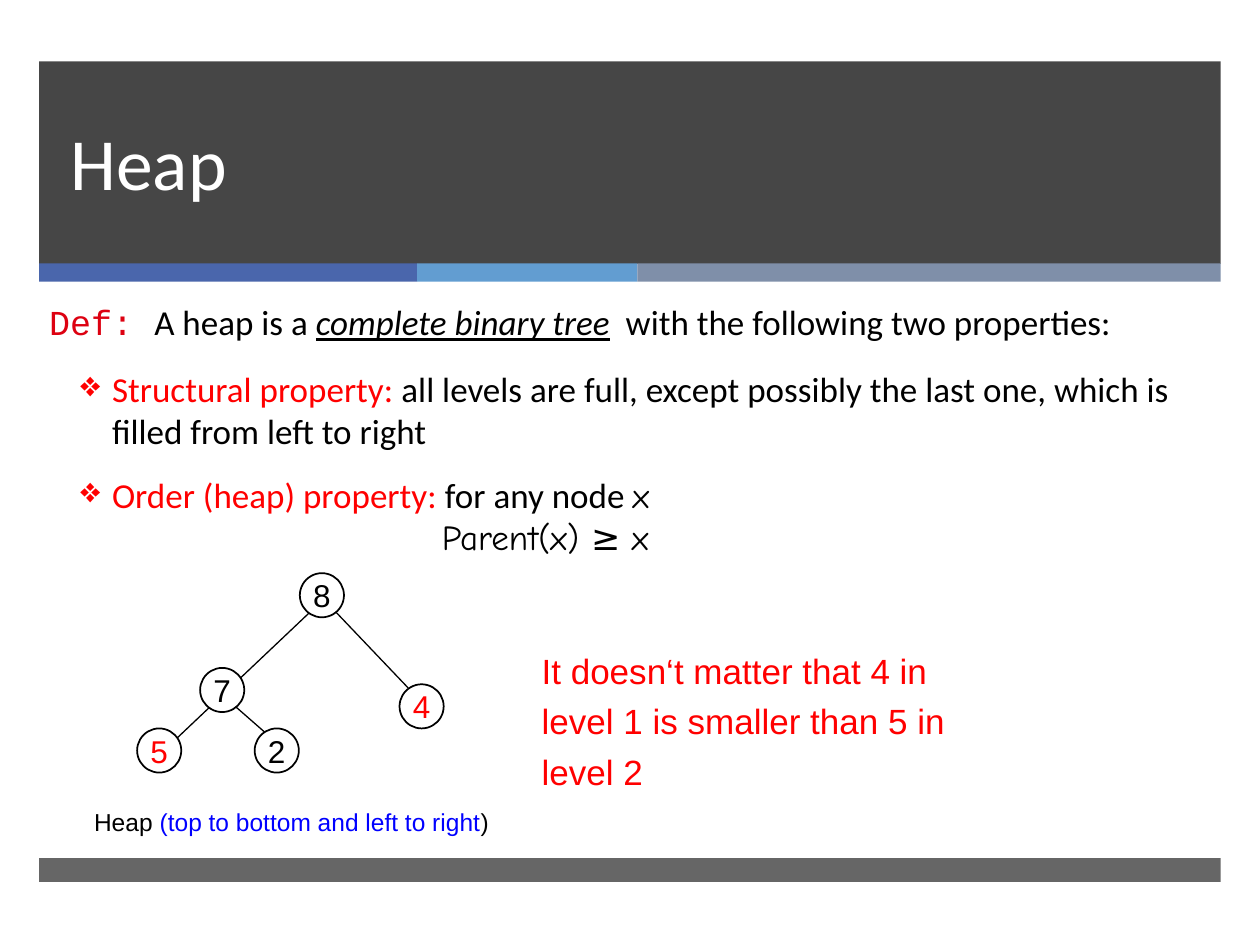
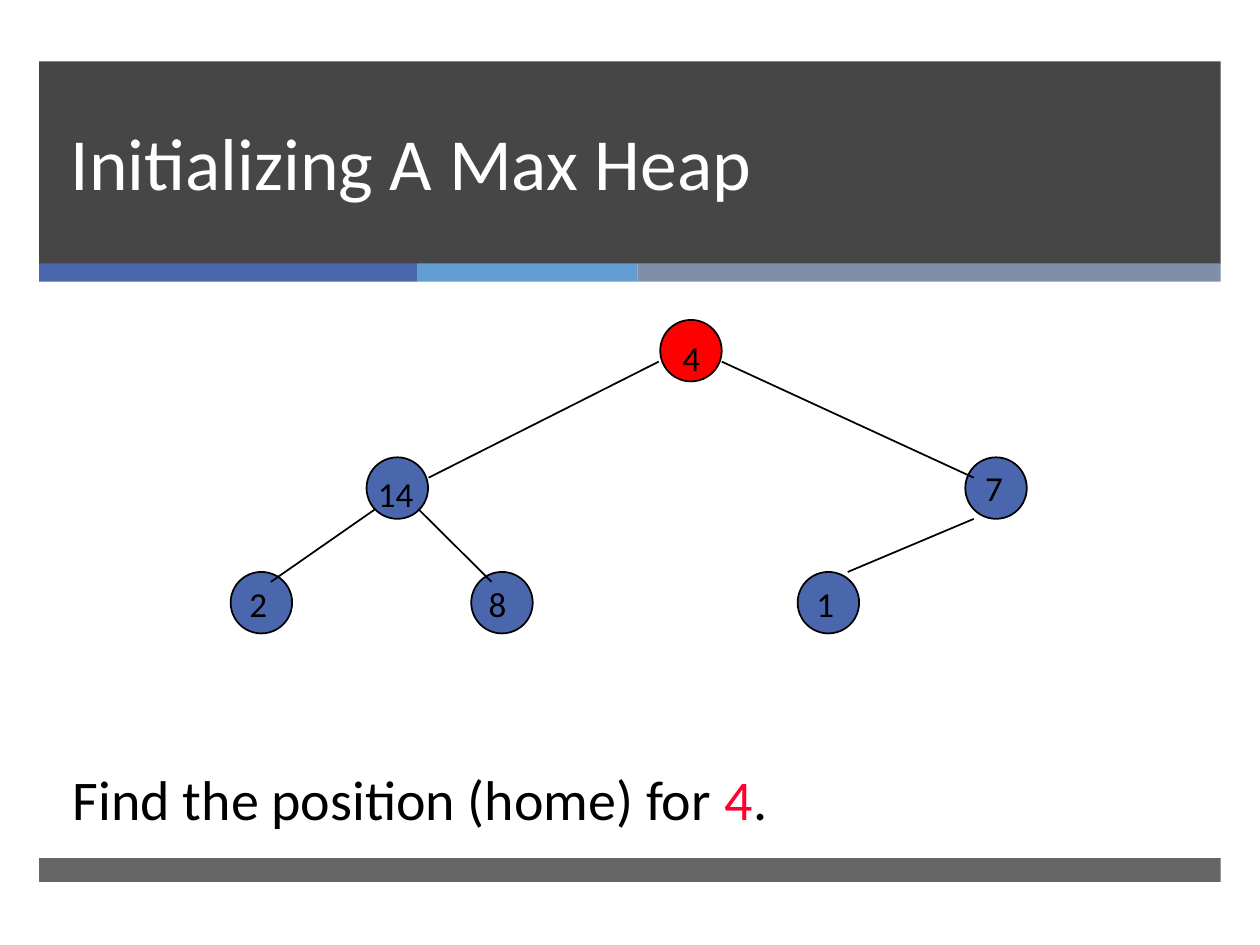
import pptx
import pptx.util
import pptx.dml.color
import pptx.enum.shapes
import pptx.enum.text
import pptx.oxml.ns
import lxml.etree

Cm, Pt = pptx.util.Cm, pptx.util.Pt
RGB = pptx.dml.color.RGBColor
Shape = pptx.enum.shapes.MSO_SHAPE
Align = pptx.enum.text.PP_ALIGN
Anchor = pptx.enum.text.MSO_ANCHOR
qn = pptx.oxml.ns.qn

# Colours
BLACK = RGB(0x00, 0x00, 0x00)
WHITE = RGB(0xFF, 0xFF, 0xFF)
DARK = RGB(0x26, 0x26, 0x26)
BLUE = RGB(0x4A, 0x66, 0xAC)
SKY = RGB(0x62, 0x9D, 0xD1)
SLATE = RGB(0x7F, 0x8F, 0xA9)
RED = RGB(0xFF, 0x00, 0x00)
CRIMSON = RGB(0xDD, 0x01, 0x11)
ROSE = RGB(0xFF, 0x00, 0x33)
LINK = RGB(0x00, 0x00, 0xFF)

# Shared frame: left, top, width, height in cm, colour, opacity in percent
EDGE, WIDE = 0.79, 23.82
BANDS = [(EDGE, 1.24, WIDE, 4.08, DARK, 85), (EDGE, 17.3, WIDE, 0.48, DARK, 70)]
STRIPS = [(7.62, BLUE), (4.44, SKY), (11.76, SLATE)]
TITLE = (1.17, 1.24, 21.69, 3.02)

# Slide 1: a paragraph is a dict of format and a list of (text, format) runs
POINT = dict(left=1.27, hang=0.64, bullet="\u2756")
COMIC = dict(font="Comic Neue")
BODY = [
    ({}, [("Def: ", dict(font="Courier New", color=CRIMSON)), ("A heap is a ", {}),
          ("complete binary tree", dict(italic=True, under=True)),
          ("  with the following two properties:", {})]),
    (dict(POINT, before=14), [
        ("Structural property: ", dict(color=RED)),
        ("all levels are full, except possibly the last one, "
         "which is filled from left to right", {})]),
    (dict(POINT, before=12.5), [
        ("Order (heap) property: ", dict(color=RED)),
        ("for any node ", {}), ("x", COMIC)]),
    (dict(left=7.92), [("Parent(x) \u2265 x", COMIC)]),
]
NOTE = "It doesn\u2018t matter that 4 in level 1 is smaller than 5 in level 2"
CAPTION = [({}, [("Heap ", {}), ("(top to bottom and left to right", dict(color=LINK)),
                 (")", {})])]

# Node: label, centre x, centre y, text colour
HEAP = [("5", 3.21, 15.13, RED), ("7", 4.48, 13.91, BLACK), ("8", 6.49, 12, BLACK),
        ("4", 8.5, 14.24, RED), ("2", 5.58, 15.13, BLACK)]
LINKS = [(4.72, 14.22, 5.36, 14.78), (3.05, 15.37, 6.65, 11.96),
         (8.23, 13.87, 6.22, 11.76)]

# Slide 2: label, centre x, centre y, fill, label left, top and width
START = [("4", 13.93, 7.07, RED, 13.51, 6.65, 2.34),
         ("14", 8.01, 9.84, BLUE, 7.37, 9.4, 2.11),
         ("7", 20.08, 9.84, BLUE, 19.61, 9.27, 0.86),
         ("2", 5.27, 12.15, BLUE, 4.78, 11.61, 0.86),
         ("8", 10.12, 12.15, BLUE, 9.6, 11.61, 0.86),
         ("1", 16.7, 12.15, BLUE, 16.21, 11.61, 0.86)]
PATHS = [(13.28, 7.29, 8.64, 9.63), (14.55, 7.29, 19.63, 9.63),
         (7.57, 10.26, 5.46, 11.73), (8.43, 10.26, 9.91, 11.73),
         (19.63, 10.46, 17.09, 11.53)]
TASK = [({}, [("Find the position (home) for ", {}), ("4", dict(color=ROSE)), (".", {})])]


def write(shape, paras, size=20, font="Calibri", color=BLACK, align=Align.LEFT,
          anchor=Anchor.TOP, space=None, wrap=True, inset=None):
    """Fill a shape with one string or a list of formatted paragraphs."""
    if isinstance(paras, str):
        paras = [({}, [(paras, {})])]
    frame = shape.text_frame
    frame.auto_size = pptx.enum.text.MSO_AUTO_SIZE.NONE
    frame.word_wrap, frame.vertical_anchor = wrap, anchor
    if inset is not None:
        frame.margin_left = frame.margin_right = Cm(inset)
        frame.margin_top = frame.margin_bottom = Cm(inset)
    for num, (look, runs) in enumerate(paras):
        para = frame.add_paragraph() if num else frame.paragraphs[0]
        para.alignment = align
        para.space_before = Pt(look.get("before", 0))
        if space:
            para.line_spacing = space
        props = para._p.get_or_add_pPr()
        props.set("marL", str(Cm(look.get("left", 0))))
        props.set("indent", str(-Cm(look.get("hang", 0))))
        if "bullet" in look:
            lxml.etree.SubElement(props, qn("a:buChar")).set("char", look["bullet"])
        for words, style in runs:
            run = para.add_run()
            run.text = words
            run.font.size = Pt(size)
            run.font.name = style.get("font", font)
            run.font.color.rgb = style.get("color", color)
            run.font.italic = style.get("italic")
            run.font.underline = style.get("under")


def place(box):
    return [Cm(n) for n in box]


def label(slide, box, paras, **look):
    write(slide.shapes.add_textbox(*place(box)), paras, **look)


def draw(slide, kind, box, fill, edge=None, alpha=100):
    shape = slide.shapes.add_shape(kind, *place(box))
    shape.shadow.inherit = False
    shape.fill.solid()
    shape.fill.fore_color.rgb = fill
    if alpha < 100:
        tint = shape._element.spPr.find(".//" + qn("a:srgbClr"))
        lxml.etree.SubElement(tint, qn("a:alpha")).set("val", str(alpha * 1000))
    if edge is None:
        shape.line.fill.background()
    else:
        shape.line.color.rgb = edge
        shape.line.width = Pt(1)
    return shape


def node(slide, x, y, size, fill):
    box = (x - size / 2, y - size / 2, size, size)
    return draw(slide, Shape.OVAL, box, fill, BLACK)


def join(slide, ends, width):
    for pair in ends:
        line = slide.shapes.add_connector(
            pptx.enum.shapes.MSO_CONNECTOR.STRAIGHT, *place(pair))
        line.line.color.rgb = BLACK
        line.line.width = Pt(width)
        lxml.etree.SubElement(line._element.spPr, qn("a:effectLst"))


def start(deck, name):
    """Add a slide with its bands and title."""
    slide = deck.slides.add_slide(deck.slide_layouts[5])
    for *box, fill, alpha in BANDS:
        draw(slide, Shape.RECTANGLE, box, fill, alpha=alpha)
    left = EDGE
    for width, fill in STRIPS:
        draw(slide, Shape.RECTANGLE, (left, 5.31, width, 0.37), fill)
        left += width
    title = slide.shapes.title
    title.left, title.top, title.width, title.height = place(TITLE)
    write(title, name, size=42, color=WHITE, anchor=Anchor.BOTTOM, space=Pt(46))
    slide.shapes._spTree.append(title._element)  # above the bands
    return slide


deck = pptx.Presentation()
deck.slide_width, deck.slide_height = Cm(25.4), Cm(19.05)

# Slide 1: definition and example
slide = start(deck, "Heap")
label(slide, (0.74, 5.94, 23.85, 6.27), BODY)
join(slide, LINKS, 0.75)
for name, x, y, color in HEAP:
    write(node(slide, x, y, 0.89, WHITE), name, size=18, font="Arial", color=color,
          align=Align.CENTER, anchor=Anchor.MIDDLE, wrap=False, inset=0)
label(slide, (10.67, 12.8, 9.5, 3.3), NOTE, font="Arial", color=RED, space=1.2)
label(slide, (1.52, 16.15, 8.71, 0.86), CAPTION, size=14, font="Arial",
      align=Align.CENTER)

# Slide 2: tree before the first step
slide = start(deck, "Initializing A Max Heap")
for name, x, y, fill, *rest in START:
    node(slide, x, y, 1.24, fill)
join(slide, PATHS, 1)
for name, x, y, fill, left, top, width in START:
    label(slide, (left, top, width, 1.12), name)
label(slide, (1.22, 15.29, 15, 1.63), TASK, size=32)

deck.save("out.pptx")
